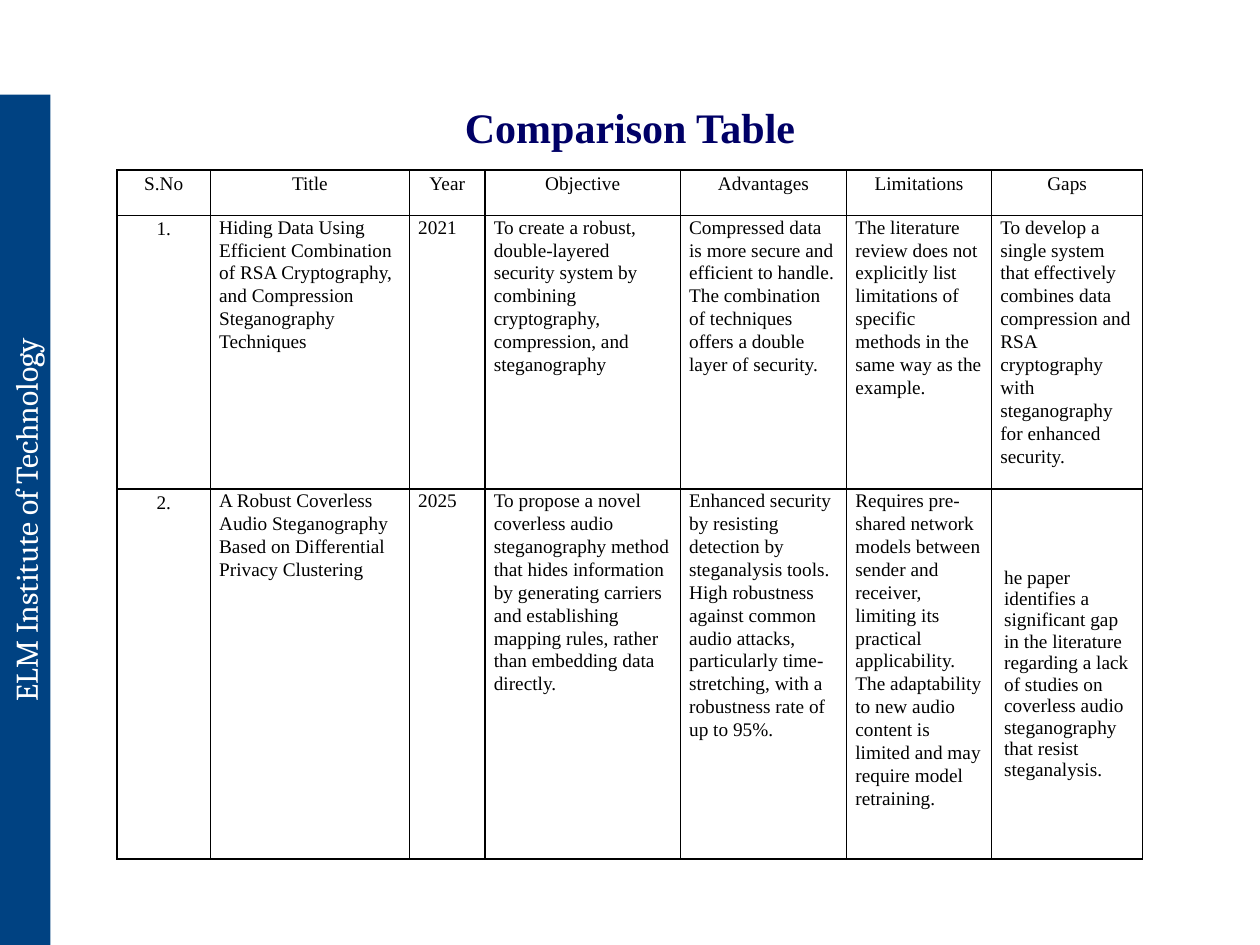
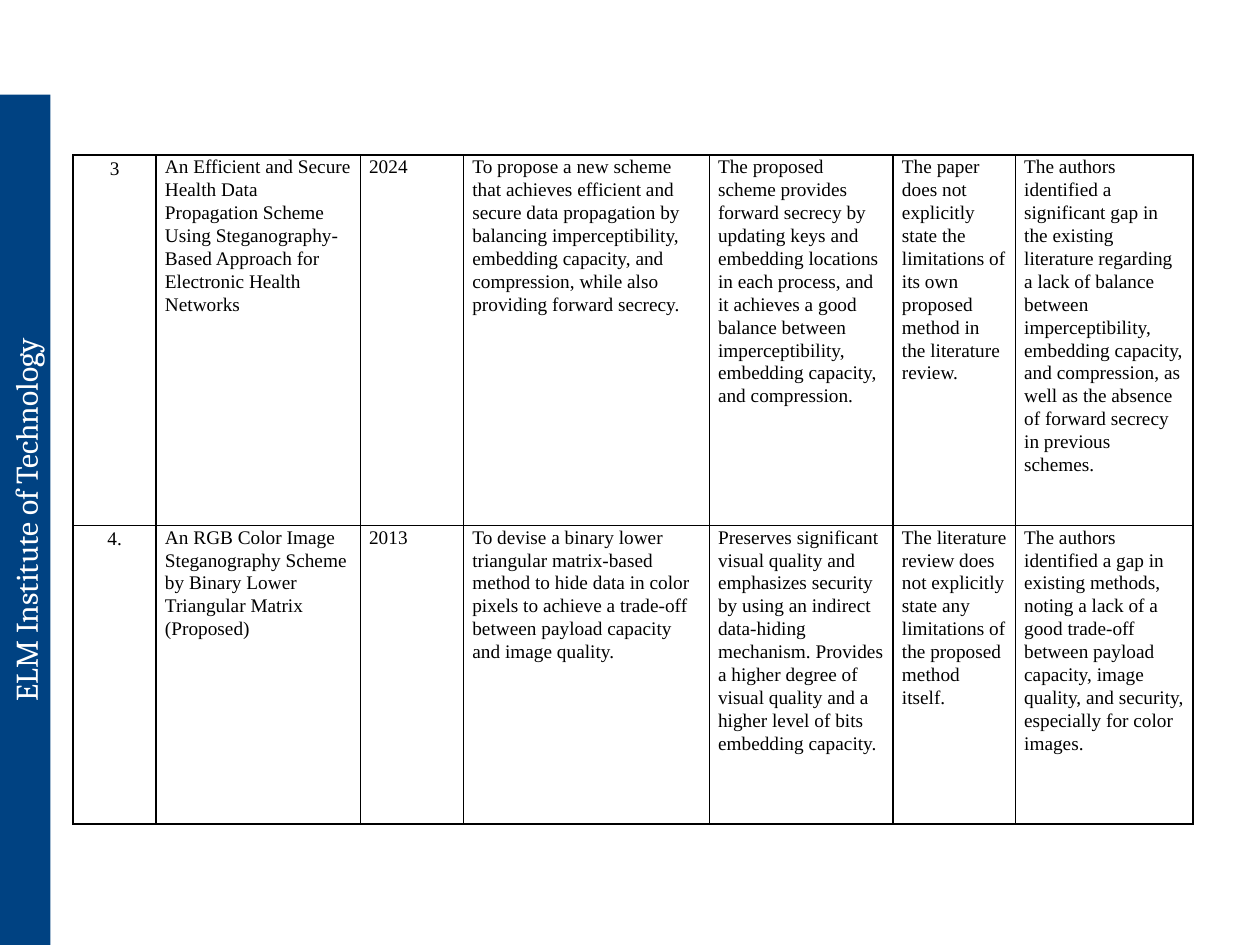
"""Build two slides that compare papers on steganography."""
import pptx
import pptx.util
import pptx.dml.color
import pptx.enum.shapes
import pptx.enum.text
import pptx.oxml
import pptx.oxml.ns

WIDE, HIGH = 10, 7.5
HUES = {"band": "004282", "title": "000066", "text": "000000", "paper": "FFFFFF"}
SERIF = "Times New Roman"
MID = pptx.enum.text.MSO_ANCHOR.MIDDLE
TOP = pptx.enum.text.MSO_ANCHOR.TOP
LEFT = pptx.enum.text.PP_ALIGN.LEFT
CENTER = pptx.enum.text.PP_ALIGN.CENTER
Inches, Pt = pptx.util.Inches, pptx.util.Pt

HEAD = ["S.No", "Title", "Year", "Objective", "Advantages", "Limitations", "Gaps"]
FIRST = [
    ["1.",
     "Hiding Data Using Efficient Combination of RSA Cryptography, and Compression "
     "Steganography Techniques",
     "2021",
     "To create a robust, double-layered security system by combining cryptography, "
     "compression, and steganography",
     "Compressed data is more secure and efficient to handle. The combination of "
     "techniques offers a double layer of security.",
     "The literature review does not explicitly list limitations of specific methods "
     "in the same way as the example.",
     "To develop a single system that effectively combines data compression and RSA "
     "cryptography with steganography for enhanced security."],
    ["2.",
     "A Robust Coverless Audio Steganography Based on Differential Privacy Clustering",
     "2025",
     "To propose a novel coverless audio steganography method that hides information "
     "by generating carriers and establishing mapping rules, rather than embedding "
     "data directly.",
     "Enhanced security by resisting detection by steganalysis tools. High robustness "
     "against common audio attacks, particularly time-stretching, with a robustness "
     "rate of up to 95%.",
     "Requires pre-shared network models between sender and receiver, limiting its "
     "practical applicability. The adaptability to new audio content is limited and "
     "may require model retraining.",
     "he paper identifies a significant gap in the literature regarding a lack of "
     "studies on coverless audio steganography that resist steganalysis."],
]
SECOND = [
    ["3",
     "An Efficient and Secure Health Data Propagation Scheme Using "
     "Steganography-Based Approach for Electronic Health Networks",
     "2024",
     "To propose a new scheme that achieves efficient and secure data propagation by "
     "balancing imperceptibility, embedding capacity, and compression, while also "
     "providing forward secrecy.",
     "The proposed scheme provides forward secrecy by updating keys and embedding "
     "locations in each process, and it achieves a good balance between "
     "imperceptibility, embedding capacity, and compression.",
     "The paper does not explicitly state the limitations of its own proposed method "
     "in the literature review.",
     "The authors identified a significant gap in the existing literature regarding a "
     "lack of balance between imperceptibility, embedding capacity, and compression, "
     "as well as the absence of forward secrecy in previous schemes."],
    ["4.",
     "An RGB Color Image Steganography Scheme by Binary Lower Triangular Matrix "
     "(Proposed)",
     "2013",
     "To devise a binary lower triangular matrix-based method to hide data in color "
     "pixels to achieve a trade-off between payload capacity and image quality.",
     "Preserves significant visual quality and emphasizes security by using an "
     "indirect data-hiding mechanism. Provides a higher degree of visual quality and "
     "a higher level of bits embedding capacity.",
     "The literature review does not explicitly state any limitations of the proposed "
     "method itself.",
     "The authors identified a gap in existing methods, noting a lack of a good "
     "trade-off between payload capacity, image quality, and security, especially for "
     "color images."],
]


def tint(name):
    """Return a named colour."""
    return pptx.dml.color.RGBColor.from_string(HUES[name])


def write(frame, text, size, hue, align=CENTER, font=SERIF, bold=False):
    """Set one styled paragraph and return it."""
    frame.text = text
    frame.word_wrap = True
    para = frame.paragraphs[0]
    para.alignment = align
    face = para.runs[0].font
    face.name, face.size, face.bold = font, Pt(size), bold
    face.color.rgb = tint(hue)
    return para


def band(slide):
    """Draw the upright band along the left edge."""
    long, thick = 0.9 * HIGH, 0.04 * WIDE
    mid = HIGH - long / 2
    shape = slide.shapes.add_shape(
        pptx.enum.shapes.MSO_SHAPE.RECTANGLE,
        Inches((thick - long) / 2), Inches(mid - thick / 2),
        Inches(long), Inches(thick))
    shape.rotation = 270
    shape.shadow.inherit = False
    shape.fill.solid()
    shape.fill.fore_color.rgb = tint("band")
    shape.line.fill.background()
    frame = shape.text_frame
    frame.vertical_anchor = MID
    para = write(frame, "ELM Institute of Technology", 18, "paper", font="Cambria")
    para.space_before = Pt(9)


def title(slide, text):
    """Add the centred slide title."""
    wide = 2.88
    box = slide.shapes.add_textbox(
        Inches((WIDE - wide) / 2), Inches(0.76), Inches(wide), Inches(0.5))
    write(box.text_frame, text, 24, "title", bold=True)


def frame(cell):
    """Rule all four sides of a cell and fill it."""
    props = cell._tc.get_or_add_tcPr()
    space = pptx.oxml.ns.nsdecls("a")
    for side in "LRTB":
        props.append(pptx.oxml.parse_xml(
            f'<a:ln{side} {space} w="12700"><a:solidFill>'
            f'<a:srgbClr val="{HUES["text"]}"/></a:solidFill></a:ln{side}>'))
    cell.fill.solid()
    cell.fill.fore_color.rgb = tint("paper")


def entry(cell, text, label):
    """Fill a cell as a centred label or as body text."""
    frame(cell)
    para = write(cell.text_frame, text, 11, "text", CENTER if label else LEFT)
    para.line_spacing = 1.15 if label else 1.07
    para.space_after = Pt(8 if label else 0)
    cell.margin_left = cell.margin_right = Inches(0.04 if label else 0.07)
    cell.margin_top = cell.margin_bottom = 0
    cell.vertical_anchor = TOP


def table(slide, left, top, cols, rows, data, head=False):
    """Add a ruled table and return it."""
    grid = slide.shapes.add_table(
        len(rows), len(cols), Inches(left), Inches(top),
        Inches(sum(cols)), Inches(sum(rows))).table
    grid.first_row = grid.horz_banding = False
    for col, wide in zip(grid.columns, cols):
        col.width = Inches(wide)
    for row, high in zip(grid.rows, rows):
        row.height = Inches(high)
    for r, line in enumerate(data):
        for c, text in enumerate(line):
            entry(grid.cell(r, c), text, c == 0 or (head and r == 0))
    return grid


def loosen(cell):
    """Centre a cell's text upright with wider margins."""
    cell.vertical_anchor = MID
    cell.margin_left = cell.margin_right = Inches(0.1)
    cell.margin_top = cell.margin_bottom = Inches(0.05)
    cell.text_frame.paragraphs[0].line_spacing = 1.0


def main():
    """Build and save both slides."""
    deck = pptx.Presentation()
    deck.slide_width, deck.slide_height = Inches(WIDE), Inches(HIGH)
    one, two = [deck.slides.add_slide(deck.slide_layouts[6]) for _ in range(2)]
    for slide in (one, two):
        band(slide)
    title(one, "Comparison Table")
    grid = table(one, 0.93, 1.35, [0.74, 1.58, 0.6, 1.55, 1.32, 1.15, 1.2],
                 [0.36, 2.17, 2.94], [HEAD] + FIRST, head=True)
    loosen(grid.cell(2, 6))
    table(two, 0.58, 1.23, [0.66, 1.62, 0.82, 1.95, 1.46, 0.97, 1.41],
          [2.94, 2.37], SECOND)
    deck.save("out.pptx")


main()
